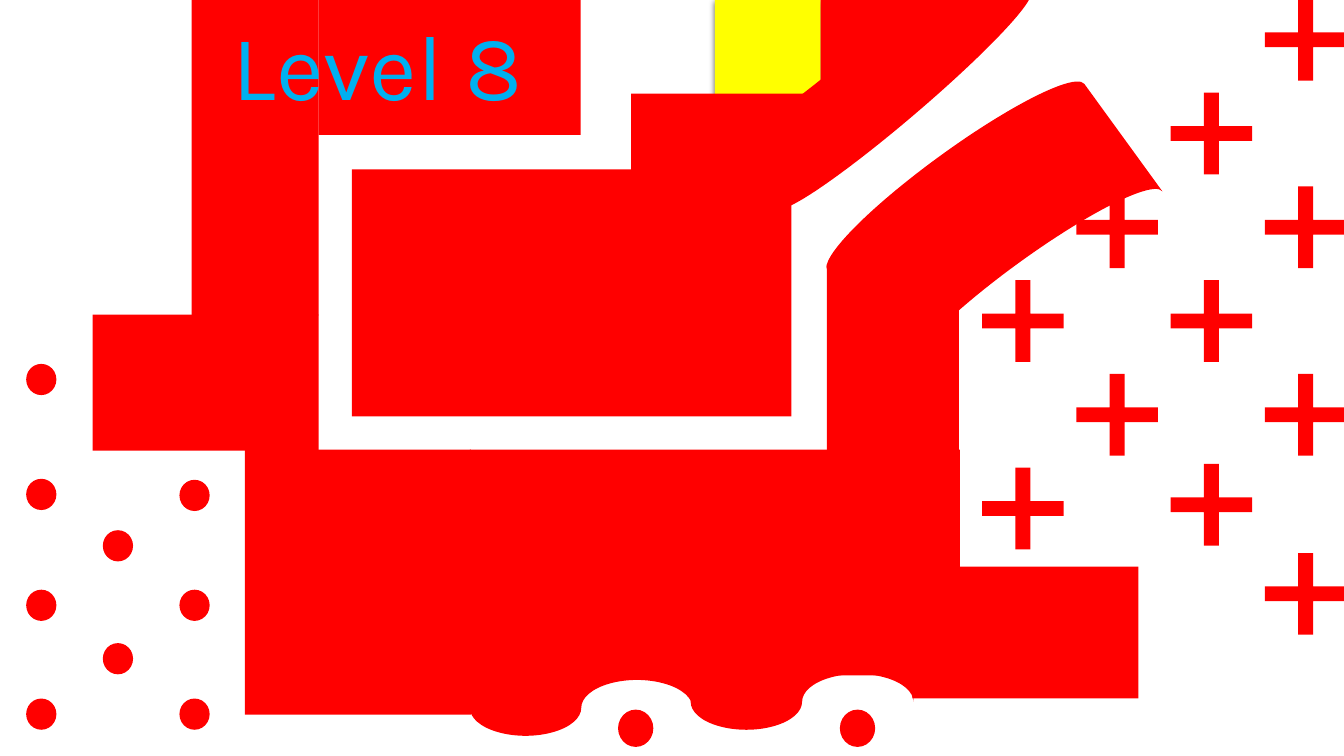
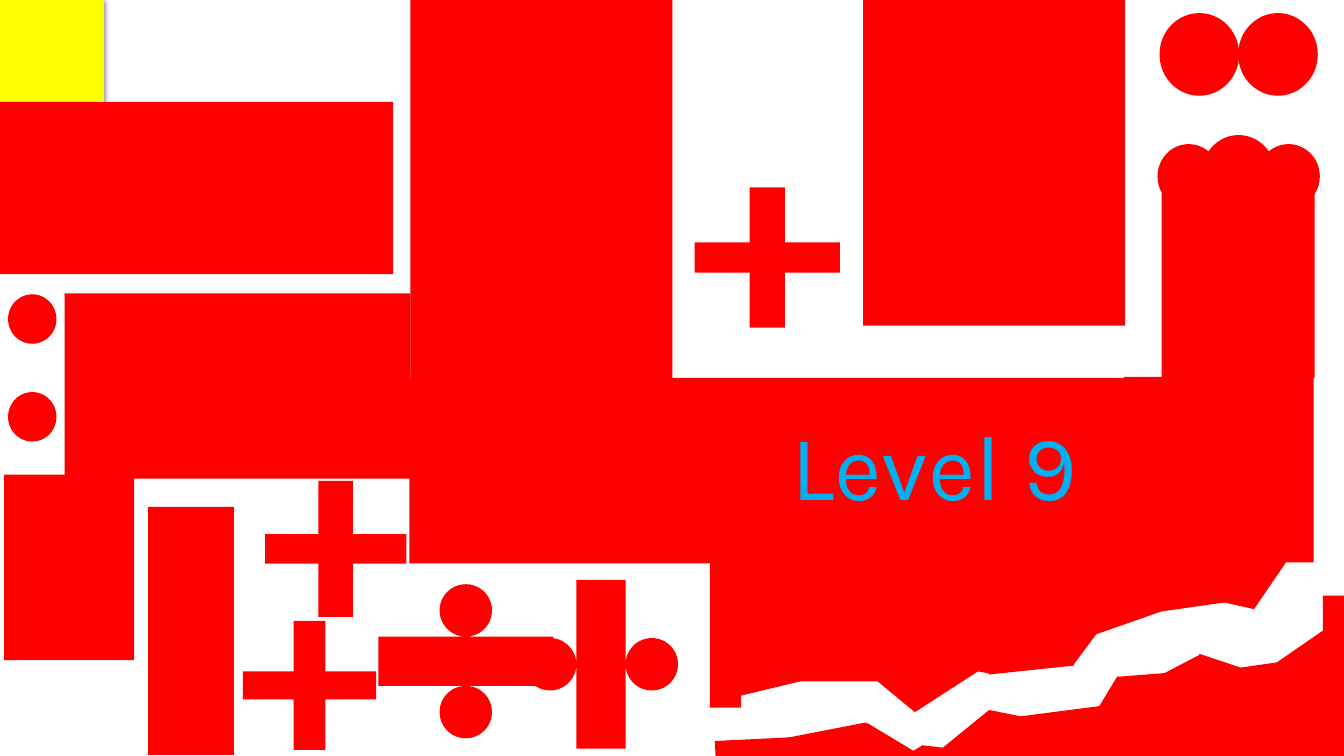
from lxml import etree
from pptx import Presentation
from pptx import util as u
from pptx.dml.color import RGBColor
from pptx.enum import shapes, text
from pptx.oxml.ns import qn

KIND = shapes.MSO_SHAPE
COLS, ROWS = 13.33, 7.5
CELL = u.Inches(1)
RED, GOLD, BLUE, WHITE = "FF0000", "FFFF00", "00B0F0", "FFFFFF"
FONT = {"name": "Karla", "size": u.Pt(66), "bold": False}
FRAME = {
    "word_wrap": True,
    "auto_size": text.MSO_AUTO_SIZE.SHAPE_TO_FIT_TEXT,
    "vertical_anchor": text.MSO_ANCHOR.TOP,
}
SIDES = ("left", "top", "width", "height")


def cells(count):
    """Turn a count of grid cells into a length."""
    return u.Emu(round(count * CELL))


def tint(fill, color):
    """Fill with one solid colour given as a hex string."""
    fill.solid()
    fill.fore_color.rgb = RGBColor.from_string(color)


def style(item, values):
    """Set each named attribute of an item."""
    for name, value in values.items():
        setattr(item, name, value)


def put(page, kind, box, turn=0, adjust=(), color=RED):
    """Add a flat preset shape."""
    shape = page.shapes.add_shape(kind, *map(cells, box))
    shape.shadow.inherit = False
    shape.rotation = turn
    tint(shape.fill, color)
    shape.line.fill.background()
    for index, value in enumerate(adjust):
        shape.adjustments[index] = value
    return shape


def blocks(page, boxes):
    """Add upright red rectangles."""
    for box in boxes:
        put(page, KIND.RECTANGLE, box)


def dots(page, size, spots):
    """Add round dots of one size."""
    for spot in spots:
        put(page, KIND.FLOWCHART_CONNECTOR, (*spot, *size))


def tiles(page, spots, side=0.85):
    """Add turned squares that form a jagged edge."""
    for left, top, turn in spots:
        put(page, KIND.RECTANGLE, (left, top, side, side), turn)


def goal(page, left, top):
    """Add the yellow square with its soft shadow."""
    shape = put(page, KIND.RECTANGLE, (left, top, 1.05, 1.02), color=GOLD)
    effect = shape.element.spPr.find(qn("a:effectLst"))
    shade = etree.SubElement(effect, qn("a:outerShdw"), blurRad=str(u.Pt(4.5)),
                             dist=str(u.Pt(1.5)), dir="5400000",
                             algn="t", rotWithShape="0")
    ink = etree.SubElement(shade, qn("a:srgbClr"), val="000000")
    etree.SubElement(ink, qn("a:alpha"), val="63000")


def label(page, words, left, top):
    """Place the title in front of the shapes."""
    title = page.shapes.title
    style(title, dict(zip(SIDES, map(cells, (left, top, 3.57, 1.21)))))
    style(title.text_frame, FRAME)
    line = title.text_frame.paragraphs[0]
    line.alignment = text.PP_ALIGN.CENTER
    run = line.add_run()
    run.text = words
    style(run.font, FONT)
    tint(run.font.fill, BLUE)
    title.element.getparent().append(title.element)


def eight(page):
    """Draw the maze of level 8."""
    goal(page, 7.09, 0)
    blocks(page, [
        (4.66, 4.46, 4.86, 2.24), (0.92, 3.12, 2.24, 1.35),
        (1.9, -0.01, 1.26, 3.14), (2.43, 4.46, 2.24, 2.63),
        (3.16, -0.02, 2.6, 1.36), (9.05, 5.62, 2.24, 1.31),
        (8.2, 2.62, 1.31, 1.9), (8.14, -0.02, 0.92, 1.03),
        (6.26, 0.93, 1.94, 0.84), (3.49, 1.68, 4.36, 2.45),
    ])
    for left, top in ((4.66, 4.53), (6.85, 4.47)):
        put(page, KIND.FLOWCHART_PUNCHED_TAPE, (left, top, 2.21, 2.77))
    for box, turn in (((9, 0.61, 1.58, 3.15), 54),
                      ((8.23, -0.91, 1.03, 3.29), 229.5)):
        put(page, KIND.FLOWCHART_STORED_DATA, box, turn)
    dots(page, (0.35, 0.37), [(6.13, 7.04), (8.33, 7.04)])
    tops = (3.61, 4.75, 5.85, 6.93), (5.26, 6.38), (4.76, 5.85, 6.93)
    dots(page, (0.3, 0.31), [(0.26 + 0.76 * col, top)
                             for col, group in enumerate(tops)
                             for top in group])
    steps = (3, 5), (2, 4), (1, 3, 4.96), (0, 2, 4, 5.91)
    for col, group in enumerate(steps):
        for row in group:
            box = (9.74 + 0.935 * col, 0.93 * row - 0.01, 0.81, 0.81)
            put(page, KIND.CROSS, box, adjust=[0.409])
    label(page, "Level 8", 1.96, 0.03)


def nine(page):
    """Draw the maze of level 9."""
    goal(page, -0.02, -0.01)
    blocks(page, [
        (4.07, 0, 2.6, 3.75), (8.56, -0.01, 2.6, 3.24),
        (4.06, 3.75, 7.1, 1.84), (11.15, 3.74, 1.88, 1.84),
        (11.52, 1.91, 1.52, 1.84), (7.04, 5.58, 0.31, 1.44),
        (7.91, 5.91, 0.85, 0.85), (13.12, 5.91, 0.25, 1.28),
        (7.3, 5.57, 3.12, 0.85), (0.64, 2.91, 3.43, 1.84),
        (1.47, 5.03, 0.85, 2.46), (0.04, 4.71, 1.29, 1.84),
        (0, 1.01, 3.9, 1.71),
    ])
    dots(page, (0.62, 0.64), [(11.48, 1.43), (12.47, 1.43)])
    dots(page, (0.73, 0.76), [(11.92, 1.34)])
    dots(page, (0.79, 0.82), [(11.5, 0.13), (12.28, 0.13)])
    dots(page, (0.48, 0.49), [(0.08, 2.92), (0.08, 3.89)])
    tiles(page, [
        (7.17, 5.98, 346.5), (8.59, 6.04, 39.6), (8.78, 6.05, 327.1),
        (9.08, 5.77, 10.1), (9.76, 5.8, 84), (10.14, 5.57, 306.8),
        (10.64, 5.35, 340.7), (11.32, 5.18, 351.9), (11.69, 5.11, 12.7),
        (11.9, 5.03, 304.3),
    ])
    tiles(page, [
        (7.11, 7.33, 357.2), (7.83, 7.24, 349), (8.32, 7.33, 31.1),
        (8.58, 7.55, 329.2), (9.1, 7.44, 6.6), (9.32, 7.22, 320.8),
        (9.72, 7.12, 11.5), (10.16, 7.05, 352.6), (10.8, 6.87, 31.1),
        (11.11, 6.68, 85.5), (11.3, 6.64, 332.5), (11.74, 6.6, 18.5),
        (12, 6.61, 351.9), (12.59, 6.42, 325.4),
    ])
    put(page, KIND.RECTANGLE, (10.64, 7.27, 3.12, 0.85), 345.2)
    for box, turn in (((4.82, 5.55, 2.28, 2.08), 90),
                      ((3.44, 5.52, 2.36, 2.08), 0)):
        put(page, KIND.MATH_DIVIDE, box, turn, [0.235, 0.059, 0.125])
    for box in ((6.89, 1.86, 1.44, 1.39), (2.41, 6.16, 1.32, 1.28),
                (2.63, 4.77, 1.4, 1.35)):
        put(page, KIND.CROSS, box, adjust=[0.392])
    label(page, "Level 9", 7.48, 4)


def main():
    """Build and save both levels."""
    deck = Presentation()
    deck.slide_width, deck.slide_height = cells(COLS), cells(ROWS)
    tint(deck.slide_master.background.fill, WHITE)
    for draw in (eight, nine):
        draw(deck.slides.add_slide(deck.slide_layouts[5]))
    deck.save("out.pptx")


if __name__ == "__main__":
    main()
